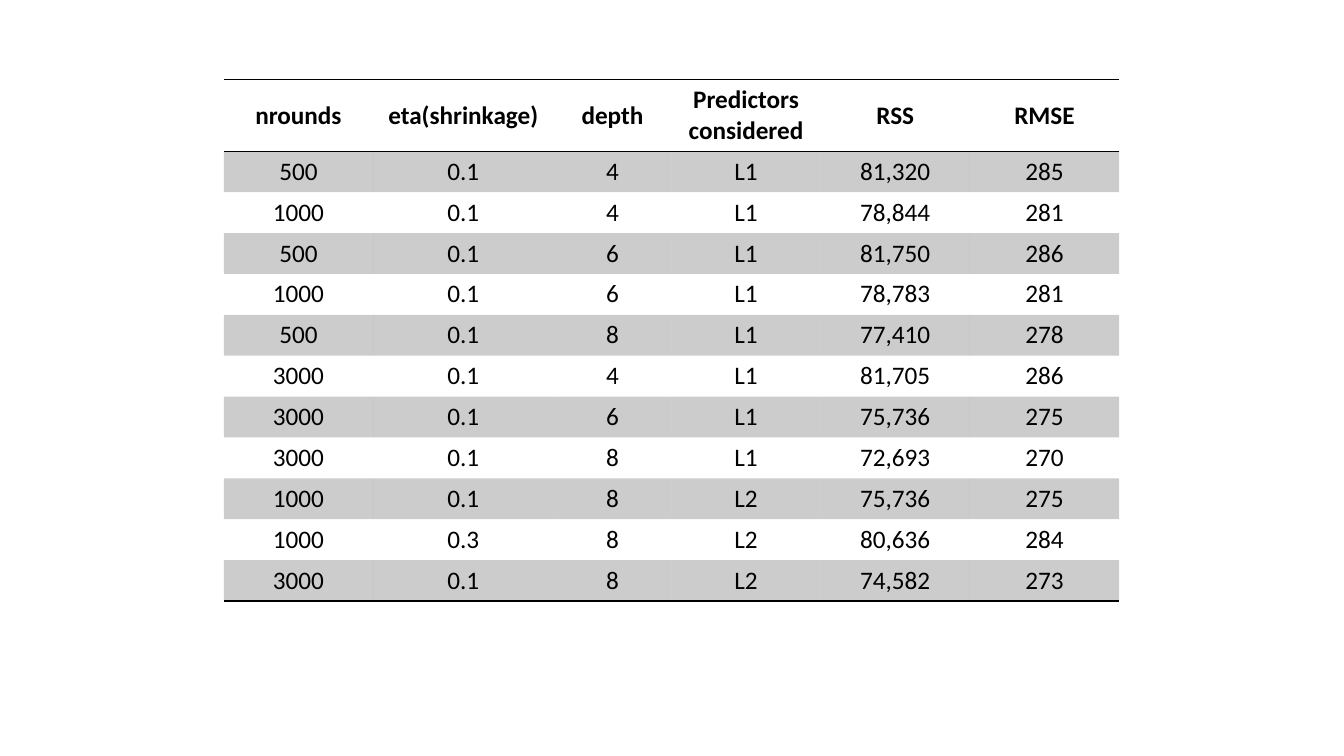
from lxml.etree import SubElement
from pptx import Presentation
from pptx.dml.color import RGBColor
from pptx.enum.text import MSO_ANCHOR, PP_ALIGN
from pptx.oxml.ns import qn
from pptx.util import Inches, Pt

COLORS = {"ink": "000000", "band": "000000"}
BAND_ALPHA = "20000"  # 20 % opaque
NO_STYLE_NO_GRID = "{2D5ABB26-0587-4C30-8999-92F81FD0307C}"

# Tuning results
header = ["nrounds", "eta(shrinkage)", "depth", "Predictors considered", "RSS", "RMSE"]
results = [
    ("500", "0.1", "4", "L1", "81,320", "285"),
    ("1000", "0.1", "4", "L1", "78,844", "281"),
    ("500", "0.1", "6", "L1", "81,750", "286"),
    ("1000", "0.1", "6", "L1", "78,783", "281"),
    ("500", "0.1", "8", "L1", "77,410", "278"),
    ("3000", "0.1", "4", "L1", "81,705", "286"),
    ("3000", "0.1", "6", "L1", "75,736", "275"),
    ("3000", "0.1", "8", "L1", "72,693", "270"),
    ("1000", "0.1", "8", "L2", "75,736", "275"),
    ("1000", "0.3", "8", "L2", "80,636", "284"),
    ("3000", "0.1", "8", "L2", "74,582", "273"),
]
rows = [header, *results]
column_widths = [1.48, 1.79, 1.17, 1.48, 1.48, 1.48]
table_height, header_height = 5.16, 0.7
result_height = (table_height - header_height) / len(results)


def add_rule(cell, side):
    rule = SubElement(cell._tc.get_or_add_tcPr(), qn(f"a:{side}"), w=str(Pt(1)))
    fill = SubElement(rule, qn("a:solidFill"))
    SubElement(fill, qn("a:srgbClr"), val=COLORS["ink"])


# Slide
deck = Presentation()
deck.slide_width, deck.slide_height = Inches(13.33), Inches(7.5)
slide = deck.slides.add_slide(deck.slide_layouts[6])

# Table grid
tuning = slide.shapes.add_table(
    len(rows), len(header), Inches(2.22), Inches(0.79),
    Inches(sum(column_widths)), Inches(table_height)).table
tuning._tbl.tblPr.find(qn("a:tableStyleId")).text = NO_STYLE_NO_GRID
for column, width in zip(tuning.columns, column_widths):
    column.width = Inches(width)
for index, row in enumerate(tuning.rows):
    row.height = Inches(result_height if index else header_height)

# Cells: rules around the header and at the end, a band on every odd row
for r, values in enumerate(rows):
    for c, value in enumerate(values):
        cell = tuning.cell(r, c)
        cell.vertical_anchor = MSO_ANCHOR.MIDDLE
        if r == 0:
            add_rule(cell, "lnT")
        if r in (0, len(results)):
            add_rule(cell, "lnB")
        if r % 2:
            cell.fill.solid()
            cell.fill.fore_color.rgb = RGBColor.from_string(COLORS["band"])
            band = cell._tc.tcPr.find(qn("a:solidFill")).find(qn("a:srgbClr"))
            SubElement(band, qn("a:alpha"), val=BAND_ALPHA)
        else:
            cell.fill.background()

        cell.text = value
        paragraph = cell.text_frame.paragraphs[0]
        paragraph.alignment = PP_ALIGN.CENTER
        font = paragraph.runs[0].font
        for key, setting in {"name": "Calibri", "size": Pt(18), "bold": r == 0}.items():
            setattr(font, key, setting)
        font.color.rgb = RGBColor.from_string(COLORS["ink"])

deck.save("out.pptx")
